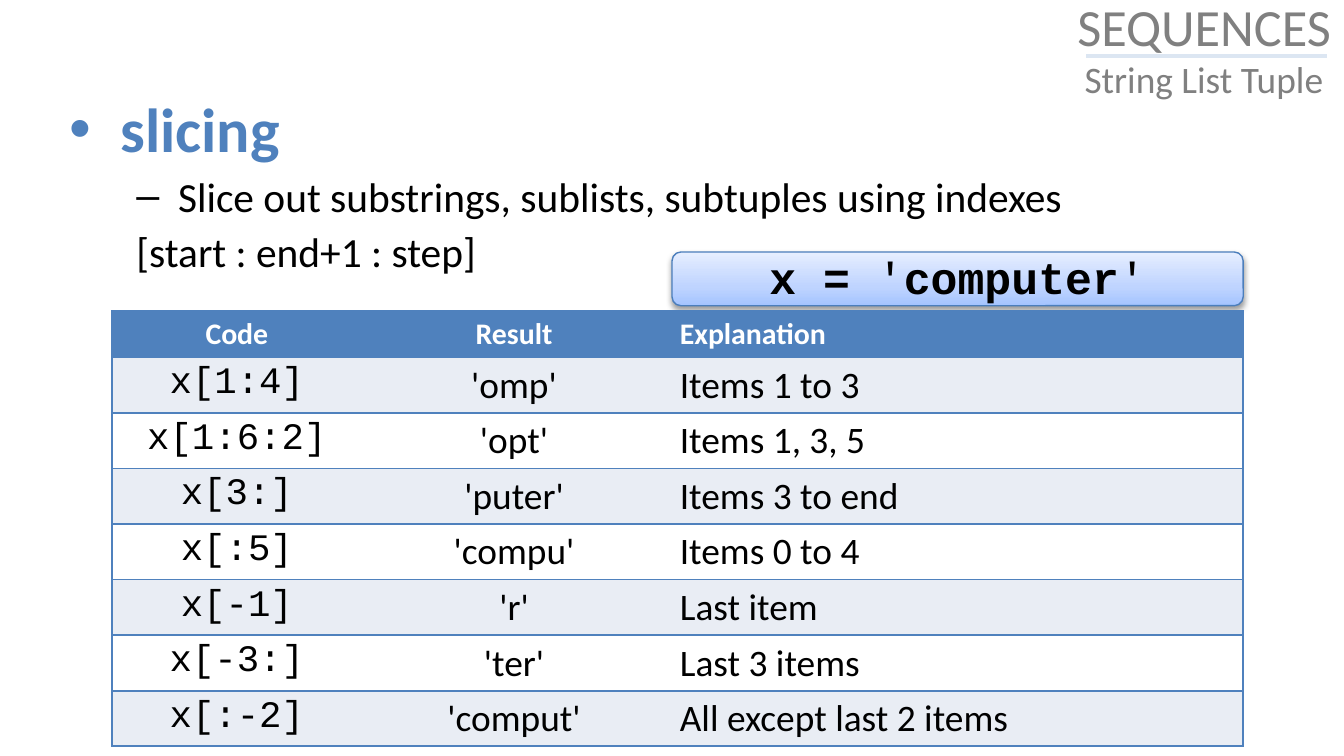
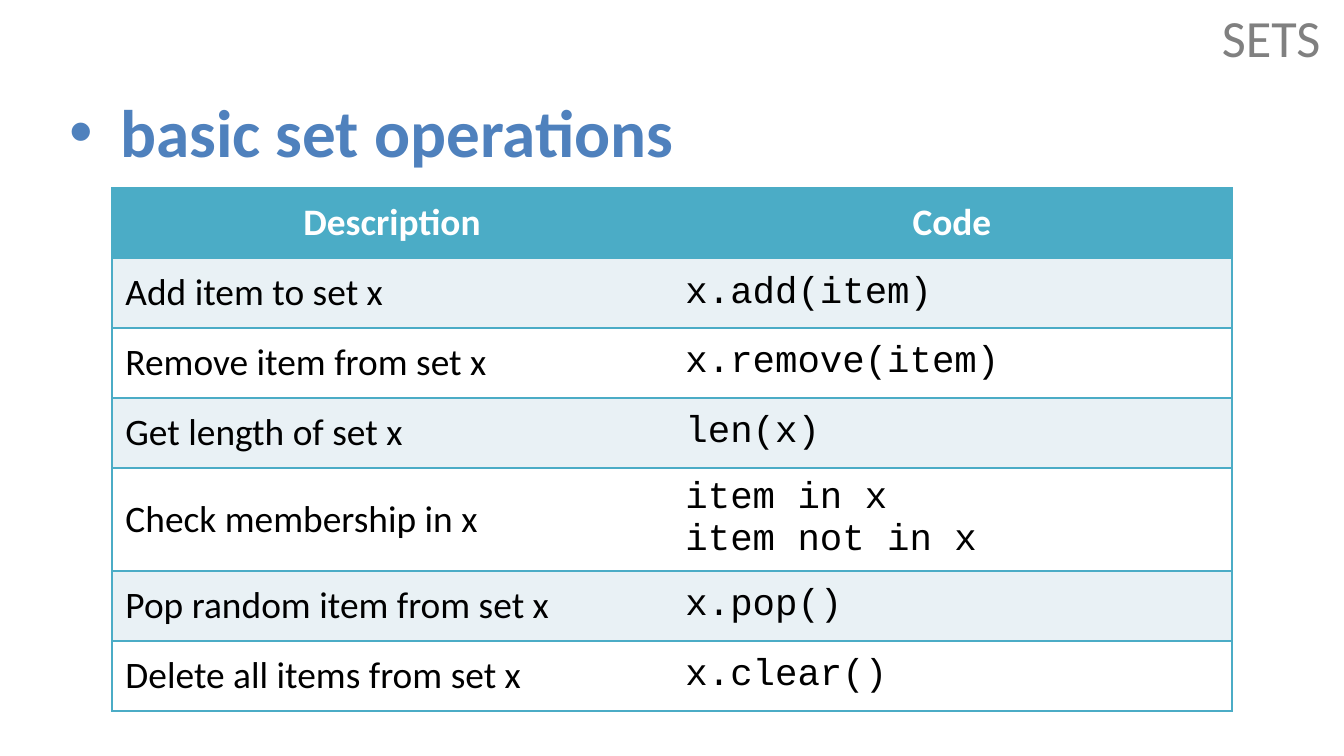
from dataclasses import dataclass

from lxml import etree
from pptx import Presentation
from pptx.dml.color import RGBColor
from pptx.enum.shapes import MSO_CONNECTOR, MSO_SHAPE
from pptx.enum.text import MSO_ANCHOR, PP_ALIGN
from pptx.oxml.ns import qn
from pptx.util import Inches, Pt

LEFT, CENTER = PP_ALIGN.LEFT, PP_ALIGN.CENTER
COLUMNS, ROWS = 24, 27  # grid of the slide


@dataclass(frozen=True)
class Theme:
    sans: str = "Calibri"
    mono: str = "Courier New"
    black: str = "000000"
    white: str = "FFFFFF"
    grey: str = "808080"
    blue: str = "4F81BD"
    blue_band: str = "E9EDF4"
    teal: str = "4BACC6"
    teal_band: str = "E9F1F5"
    rule: str = "DCE6F2"
    pill_line: str = "4B7EBC"
    pill_stops: tuple = ((0, "A4C4FF"), (35, "BFD4FF"), (100, "E6EEFF"))
    title: float = 28
    text: float = 20
    table_head: float = 16
    code: float = 24
    bullet: float = 22.2
    paragraph_gap: float = 3


def add_xml(parent, tag, **attributes):
    return etree.SubElement(parent, qn(tag), {k: str(v) for k, v in attributes.items()})


class Deck:
    def __init__(self, theme):
        self.theme = theme
        self.file = Presentation()
        self.file.slide_width = Inches(10)
        self.file.slide_height = Inches(5.625)
        self.slide = None

    def new_slide(self):
        self.slide = self.file.slides.add_slide(self.file.slide_layouts[6])

    def x(self, columns):
        return int(self.file.slide_width * columns / COLUMNS)

    def y(self, rows):
        return int(self.file.slide_height * rows / ROWS)

    def box(self, left, top, width, height):
        return self.x(left), self.y(top), self.x(width), self.y(height)

    # Text
    def run(self, paragraph, text, size, color, bold=False, font=None):
        run = paragraph.add_run()
        run.text = text
        run.font.size, run.font.bold = Pt(size), bold
        run.font.name = font or self.theme.sans
        run.font.color.rgb = RGBColor.from_string(color)

    def text_frame(self, *area, anchor=MSO_ANCHOR.TOP):
        frame = self.slide.shapes.add_textbox(*self.box(*area)).text_frame
        frame.word_wrap, frame.vertical_anchor = True, anchor
        return frame

    def corner_title(self, area, title, subtitle=None):
        paragraph = self.text_frame(*area, anchor=MSO_ANCHOR.MIDDLE).paragraphs[0]
        paragraph.alignment = CENTER
        self.run(paragraph, title, self.theme.title, self.theme.grey)
        if subtitle:
            paragraph.add_line_break()
            self.run(paragraph, subtitle, self.theme.text, self.theme.grey)

    def body(self, area, heading, size, points=()):
        """Bold heading, then (text, bullet, margin, indent) points."""
        frame = self.text_frame(*area)
        lines = [(heading, "•", 0.38, -0.38), *points]
        for i, (text, bullet, margin, indent) in enumerate(lines):
            paragraph = frame.add_paragraph() if i else frame.paragraphs[0]
            paragraph.space_before = Pt(self.theme.paragraph_gap)
            properties = paragraph._p.get_or_add_pPr()
            properties.set("marL", str(Inches(margin)))
            properties.set("indent", str(Inches(indent)))
            if bullet:
                add_xml(properties, "a:buFont", typeface="Arial")
                add_xml(properties, "a:buChar", char=bullet)
            if i:
                self.run(paragraph, text, self.theme.bullet, self.theme.black)
            else:
                self.run(paragraph, text, size, self.theme.blue, True)

    def code_label(self, area, parts):
        paragraph = self.text_frame(*area).paragraphs[0]
        paragraph.alignment = CENTER
        for text, bold in parts:
            self.run(paragraph, text, self.theme.code, self.theme.black, bold, self.theme.mono)

    # Shapes
    def pill(self, area):
        shape = self.slide.shapes.add_shape(MSO_SHAPE.ROUNDED_RECTANGLE, *self.box(*area))
        shape.line.color.rgb = RGBColor.from_string(self.theme.pill_line)
        shape.line.width = Pt(0.75)
        shape.fill.gradient()
        shape.fill.gradient_angle = 90
        properties = shape._element.spPr
        stops = properties.find(".//" + qn("a:gsLst"))
        for stop in list(stops):
            stops.remove(stop)
        for position, color in self.theme.pill_stops:
            add_xml(add_xml(stops, "a:gs", pos=position * 1000), "a:srgbClr", val=color)
        shape.shadow.inherit = False
        shadow = add_xml(properties.find(qn("a:effectLst")), "a:outerShdw",
                         blurRad=Pt(3.1), dist=Pt(1.6), dir=90 * 60000, rotWithShape=0)
        add_xml(add_xml(shadow, "a:srgbClr", val=self.theme.black), "a:alpha", val=38000)

    def rule(self, left, right, row):
        line = self.slide.shapes.add_connector(
            MSO_CONNECTOR.STRAIGHT, self.x(left), self.y(row), self.x(right), self.y(row))
        line.line.color.rgb = RGBColor.from_string(self.theme.rule)
        line.line.width = Pt(2)
        add_xml(line._element.spPr, "a:effectLst")

    # Tables
    def borders(self, cell, color, first, last):
        properties = cell._tc.get_or_add_tcPr()
        for side, shown in (("L", first), ("R", last), ("T", True), ("B", True)):
            line = add_xml(properties, "a:ln" + side, w=Pt(1))
            if shown:
                add_xml(add_xml(line, "a:solidFill"), "a:srgbClr", val=color)
            else:
                add_xml(line, "a:noFill")

    def table(self, left, top, widths, row_height, data, accent, band, mono_column,
              head_size, head_align, body_align, anchor=MSO_ANCHOR.TOP, inset=0.05):
        theme = self.theme
        area = self.box(left, top, sum(widths), row_height * len(data))
        table = self.slide.shapes.add_table(len(data), len(widths), *area).table
        table.horz_banding = False
        for column, width in zip(table.columns, widths):
            column.width = self.x(width)
        for r, values in enumerate(data):
            table.rows[r].height = self.y(row_height)
            head = r == 0
            fill = accent if head else (band if r % 2 else theme.white)
            for c, value in enumerate(values):
                cell = table.cell(r, c)
                self.borders(cell, accent, c == 0, c == len(widths) - 1)
                cell.fill.solid()
                cell.fill.fore_color.rgb = RGBColor.from_string(fill)
                cell.vertical_anchor = anchor
                cell.margin_top = cell.margin_bottom = Inches(inset)
                for i, text in enumerate(value.split("\n")):
                    frame = cell.text_frame
                    paragraph = frame.add_paragraph() if i else frame.paragraphs[0]
                    paragraph.alignment = (head_align if head else body_align)[c]
                    if head:
                        self.run(paragraph, text, head_size, theme.white, True)
                    else:
                        font = theme.mono if c == mono_column else theme.sans
                        self.run(paragraph, text, theme.text, theme.black, font=font)


theme = Theme()
deck = Deck(theme)

# Slide 1: slicing
deck.new_slide()
deck.pill((12, 9, 10.2, 1.92))
deck.body((1, 3, 22.4, 6.3), "slicing", 33.3, [
    ("Slice out substrings, sublists, subtuples using indexes", "–", 0.81, -0.31),
    ("[start : end+1 : step]", None, 0.5, 0),
])
slices = [
    ("Code", "Result", "Explanation"),
    ("x[1:4]", "'omp'", "Items 1 to 3"),
    ("x[1:6:2]", "'opt'", "Items 1, 3, 5"),
    ("x[3:]", "'puter'", "Items 3 to end"),
    ("x[:5]", "'compu'", "Items 0 to 4"),
    ("x[-1]", "'r'", "Last item"),
    ("x[-3:]", "'ter'", "Last 3 items"),
    ("x[:-2]", "'comput'", "All except last 2 items"),
]
slice_align = (CENTER, CENTER, LEFT)
deck.table(2, 11.1, (4.46, 5.44, 10.3), 1.6, slices, theme.blue, theme.blue_band, 0,
           theme.table_head, slice_align, slice_align, inset=0.04)
deck.code_label((12, 8.7, 10.2, 2.4),
                [("x = ", True), ("'", False), ("computer", True), ("'", False)])
deck.corner_title((18.8, -0.1, 5.4, 3.6), "SEQUENCES", "String List Tuple")
deck.rule(19.4, 23.7, 2)

# Slide 2: set operations
deck.new_slide()
deck.corner_title((21.4, -0.1, 2.6, 2.8), "SETS")
operations = [
    ("Description", "Code"),
    ("Add item to set x", "x.add(item)"),
    ("Remove item from set x", "x.remove(item)"),
    ("Get length of set x", "len(x)"),
    ("Check membership in x", "item in x\nitem not in x"),
    ("Pop random item from set x", "x.pop()"),
    ("Delete all items from set x", "x.clear()"),
]
deck.table(2, 6.72, (10, 10), 2.5, operations, theme.teal, theme.teal_band, 1,
           theme.text, (CENTER, CENTER), (LEFT, LEFT), MSO_ANCHOR.MIDDLE)
deck.body((1, 3, 21.6, 4.1), "basic set operations", 36)

deck.file.save("out.pptx")
